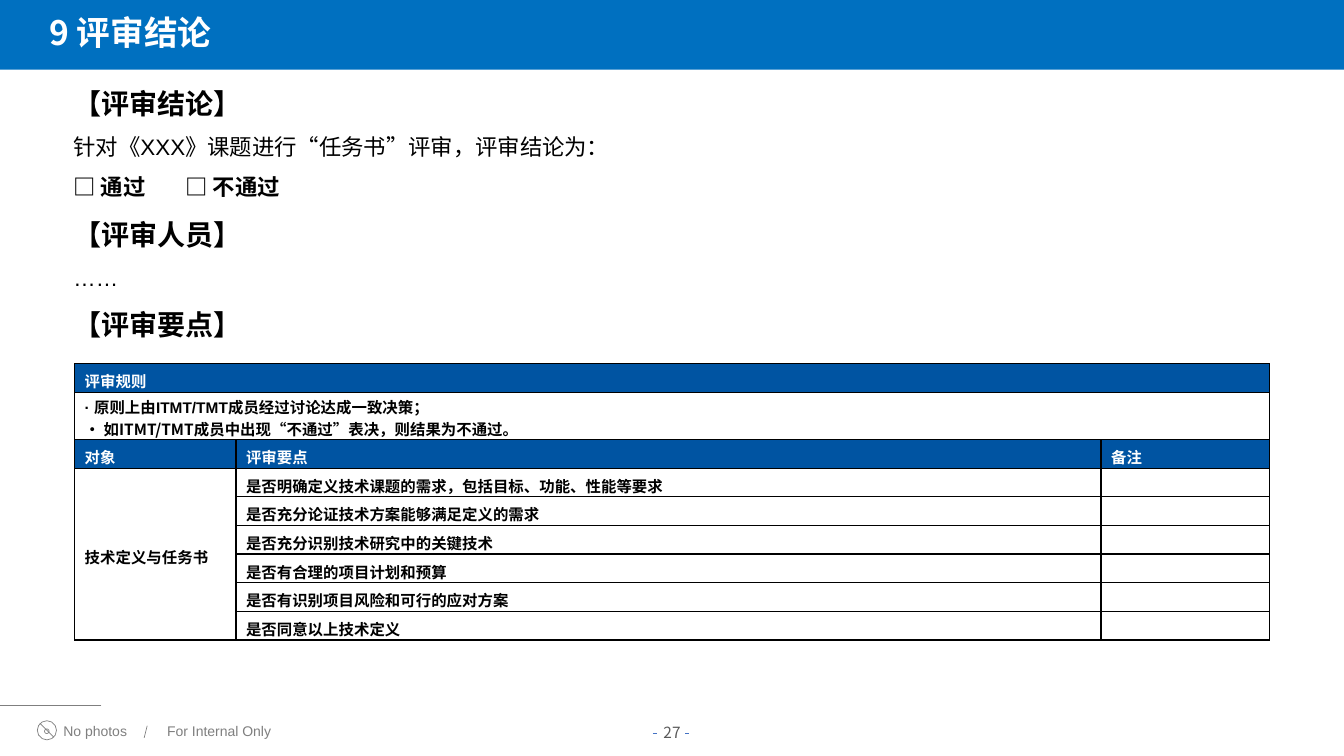
from lxml.etree import SubElement
from pptx import Presentation
from pptx.dml.color import RGBColor
from pptx.enum.shapes import MSO_CONNECTOR as Connector, MSO_SHAPE as Shape
from pptx.enum.text import MSO_ANCHOR as Anchor, PP_ALIGN as Align
from pptx.oxml.ns import qn
from pptx.util import Emu, Inches, Pt

BLACK = RGBColor(0x00, 0x00, 0x00)
WHITE = RGBColor(0xFF, 0xFF, 0xFF)
BANNER_BLUE = RGBColor(0x00, 0x70, 0xC0)
TABLE_BLUE = RGBColor(0x00, 0x54, 0xA2)
DASH_BLUE = RGBColor(0x44, 0x72, 0xC4)
FOOTER_GREY = RGBColor(0x7F, 0x7F, 0x7F)
NUMBER_GREY = RGBColor(0x5A, 0x5A, 0x5A)
ARIAL, NOTO = "Arial", "Noto Sans CJK SC"

SLIDE_WIDTH, SLIDE_HEIGHT = 13.33, 7.5
ROW_HEIGHT, RULES_HEIGHT = 0.284, 0.468
COLUMN_WIDTHS = (1.6, 8.58, 1.67)
CHECKPOINTS = (
    "是否明确定义技术课题的需求，包括目标、功能、性能等要求",
    "是否充分论证技术方案能够满足定义的需求",
    "是否充分识别技术研究中的关键技术",
    "是否有合理的项目计划和预算",
    "是否有识别项目风险和可行的应对方案",
    "是否同意以上技术定义",
)

HEADING = {"size": Pt(20), "name": NOTO, "bold": True}
BODY = {"size": Pt(16), "name": ARIAL, "bold": False}
CHOICE = {**BODY, "bold": True}
CELL = {"size": Pt(11), "name": ARIAL, "bold": True}
FOOTER = {"size": Pt(10), "name": ARIAL}


def inches(*lengths):
    return [Inches(length) for length in lengths]


def set_attributes(target, values):
    for name, value in values.items():
        setattr(target, name, value)


def add_run(paragraph, text, style, color):
    run = paragraph.add_run()
    run.text = text
    set_attributes(run.font, style)
    run.font.color.rgb = color
    SubElement(run._r.get_or_add_rPr(), qn("a:ea"), typeface=NOTO)


def add_text_box(slide, box, wrap=True):
    frame = slide.shapes.add_textbox(*inches(*box)).text_frame
    frame.word_wrap = wrap
    return frame


def add_line(slide, start, end, color):
    line = slide.shapes.add_connector(Connector.STRAIGHT, *inches(*start, *end))
    line.line.color.rgb = color
    line.line.width = Pt(0.5)
    SubElement(line._element.spPr, qn("a:effectLst"))


def outline(shape):
    shape.shadow.inherit = False
    shape.fill.background()
    shape.line.color.rgb = FOOTER_GREY
    shape.line.width = Pt(0.5)


def add_banner(slide, box):
    title = slide.shapes.title
    set_attributes(title, dict(zip(("left", "top", "width", "height"), inches(*box))))
    title.fill.solid()
    title.fill.fore_color.rgb = BANNER_BLUE
    frame = title.text_frame
    set_attributes(frame, {"margin_left": Inches(0.49), "margin_top": 0,
                           "margin_bottom": Inches(0.05), "vertical_anchor": Anchor.MIDDLE})
    paragraph = frame.paragraphs[0]
    paragraph.alignment = Align.LEFT
    add_run(paragraph, "9 评审结论", {"size": Pt(24), "name": NOTO, "bold": True}, WHITE)


def add_conclusion(slide, box):
    frame = add_text_box(slide, box)
    lines = (
        ("【评审结论】", HEADING),
        ("针对《XXX》课题进行“任务书”评审，评审结论为：", BODY),
        ("□ 通过\t□ 不通过", CHOICE),
        ("【评审人员】", HEADING),
        ("……", BODY),
        ("【评审要点】", HEADING),
    )
    for index, (text, style) in enumerate(lines):
        paragraph = frame.add_paragraph() if index else frame.paragraphs[0]
        paragraph.line_spacing = 1.5
        if "\t" in text:
            tabs = SubElement(paragraph._p.get_or_add_pPr(), qn("a:tabLst"))
            SubElement(tabs, qn("a:tab"), pos=str(Inches(1.11)), algn="l")
        add_run(paragraph, text, style, BLACK)


def format_cell(cell, color=None):
    set_attributes(cell, {"margin_top": Inches(0.06), "margin_bottom": 0})
    properties = cell._tc.get_or_add_tcPr()
    for side in ("lnL", "lnR", "lnT", "lnB"):
        border = SubElement(properties, qn(f"a:{side}"), w=str(Pt(1)))
        fill = SubElement(border, qn("a:solidFill"))
        SubElement(fill, qn("a:srgbClr"), val=str(BLACK))
    if color is None:
        cell.fill.background()
    else:
        cell.fill.solid()
        cell.fill.fore_color.rgb = color
    # Keeps empty cells as low as the filled ones
    SubElement(cell.text_frame.paragraphs[0]._p, qn("a:endParaRPr"), sz="1100")


def add_review_table(slide, box):
    row_count = 3 + len(CHECKPOINTS)
    table = slide.shapes.add_table(row_count, len(COLUMN_WIDTHS), *inches(*box)).table
    set_attributes(table, {"first_row": False, "horz_banding": False})
    for column, width in zip(table.columns, COLUMN_WIDTHS):
        column.width = Inches(width)
    for index, row in enumerate(table.rows):
        row.height = Inches(RULES_HEIGHT if index == 1 else ROW_HEIGHT)
        for cell in row.cells:
            format_cell(cell, TABLE_BLUE if index in (0, 2) else None)

    # Merged areas
    for row in (0, 1):
        table.cell(row, 0).merge(table.cell(row, 2))
    subject = table.cell(3, 0)
    subject.merge(table.cell(row_count - 1, 0))
    subject.vertical_anchor = Anchor.MIDDLE

    # Headers, subject and checkpoints
    texts = {(0, 0): "评审规则", (2, 0): "对象", (2, 1): "评审要点", (2, 2): "备注",
             (3, 0): "技术定义与任务书"}
    texts.update({(row, 1): text for row, text in enumerate(CHECKPOINTS, 3)})
    for (row, column), text in texts.items():
        paragraph = table.cell(row, column).text_frame.paragraphs[0]
        add_run(paragraph, text, CELL, WHITE if row in (0, 2) else BLACK)

    # Decision rules
    rules = table.cell(1, 0)
    rules.margin_top = Inches(0.03)
    frame = rules.text_frame
    add_run(frame.paragraphs[0], "· 原则上由ITMT/TMT成员经过讨论达成一致决策；", CELL, BLACK)
    add_run(frame.add_paragraph(), "· 如ITMT/TMT成员中出现“不通过”表决，则结果为不通过。",
            {**CELL, "name": NOTO}, BLACK)


def add_no_photo_icon(slide, box):
    left, top, size = box
    outline(slide.shapes.add_shape(Shape.OVAL, *inches(left, top, size, size)))
    # Camera body and lens, as shares of the circle
    body = [(0.24, 0.4), (0.37, 0.4), (0.42, 0.33), (0.58, 0.33), (0.63, 0.4),
            (0.76, 0.4), (0.76, 0.72), (0.24, 0.72)]
    points = [(left + x * size, top + y * size) for x, y in body]
    builder = slide.shapes.build_freeform(*points[0], scale=Emu(914400))
    builder.add_line_segments(points[1:], close=True)
    outline(builder.convert_to_shape())
    lens = size * 0.24
    outline(slide.shapes.add_shape(
        Shape.OVAL, *inches(left + size * 0.38, top + size * 0.43, lens, lens)))
    near, far = size * 0.13, size * 0.87
    add_line(slide, (left + near, top + near), (left + far, top + far), FOOTER_GREY)


def add_footer(slide, box):
    left, top, width, height = box
    middle = top + 0.16
    add_no_photo_icon(slide, (left + 0.37, top + 0.03, 0.19))
    for offset, label_width, text in ((0.53, 0.88, "No photos"),
                                      (1.56, 1.24, "For Internal Only")):
        frame = add_text_box(slide, (left + offset, top, label_width, height), wrap=False)
        add_run(frame.paragraphs[0], text, FOOTER, FOOTER_GREY)
    add_line(slide, (left + 1.46, top + 0.08), (left + 1.43, top + 0.2), FOOTER_GREY)

    # Page number between two dashes
    center = left + width / 2
    for offset in (-0.19, 0.13):
        add_line(slide, (center + offset, middle), (center + offset + 0.04, middle), DASH_BLUE)
    paragraph = add_text_box(slide, (center - 0.34, top, 0.68, 0.29)).paragraphs[0]
    paragraph.alignment = Align.CENTER
    add_run(paragraph, "27", {"size": Pt(11), "name": NOTO}, NUMBER_GREY)


def main():
    presentation = Presentation()
    presentation.slide_width, presentation.slide_height = inches(SLIDE_WIDTH, SLIDE_HEIGHT)
    slide = presentation.slides.add_slide(presentation.slide_layouts[5])
    add_footer(slide, (0, 7.12, SLIDE_WIDTH, 0.27))
    add_banner(slide, (0, 0, SLIDE_WIDTH, 0.69))
    add_conclusion(slide, (0.63, 0.64, 12.42, 2.83))
    add_review_table(slide, (0.74, 3.61, sum(COLUMN_WIDTHS), 2.74))
    presentation.save("out.pptx")


if __name__ == "__main__":
    main()
